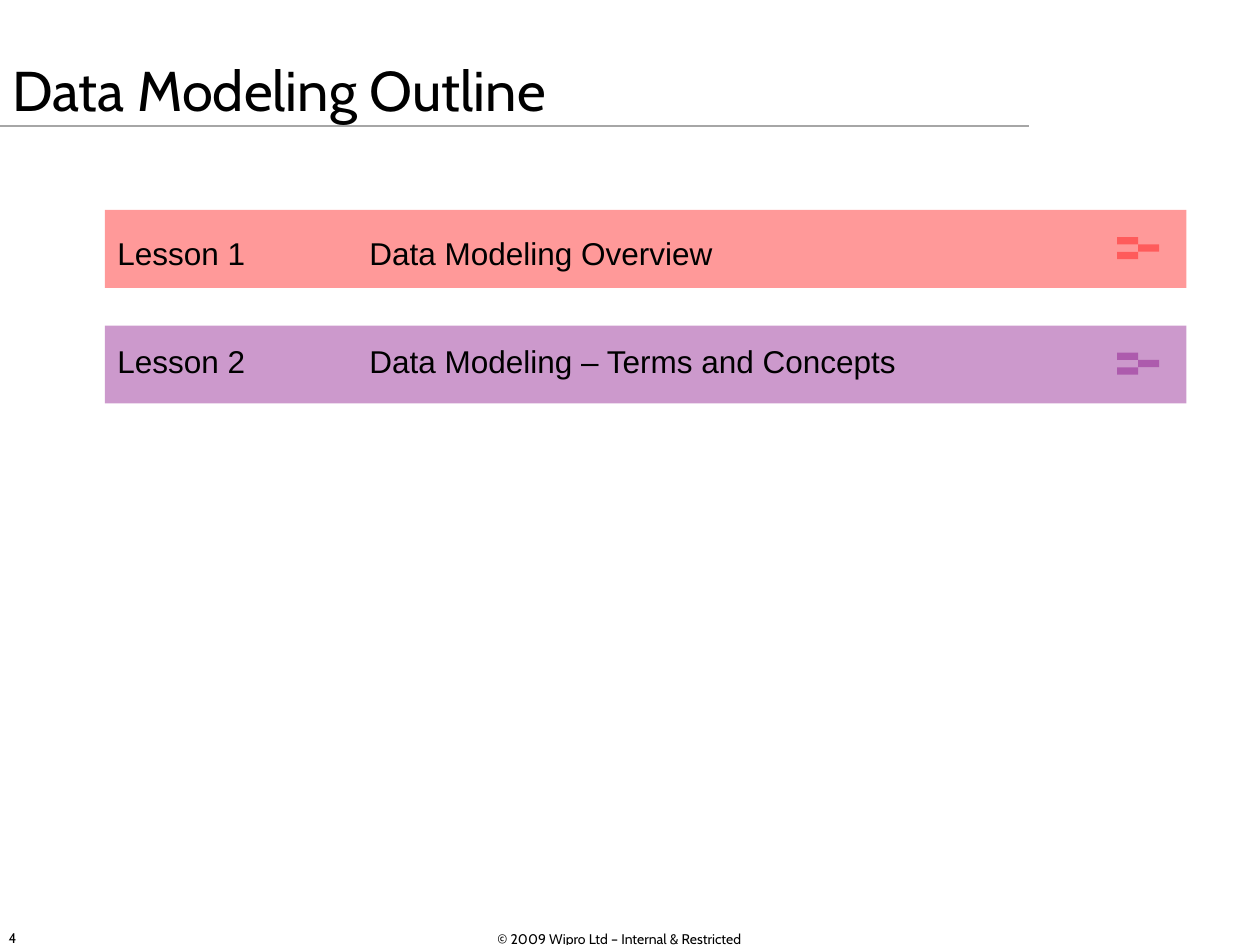
from lxml import etree
from pptx import Presentation
from pptx.dml.color import RGBColor
from pptx.enum.shapes import MSO_CONNECTOR, MSO_SHAPE
from pptx.enum.text import MSO_ANCHOR, PP_ALIGN
from pptx.oxml.ns import qn
from pptx.util import Pt

STRAIGHT, RECTANGLE = MSO_CONNECTOR.STRAIGHT, MSO_SHAPE.RECTANGLE
TOP, MIDDLE = MSO_ANCHOR.TOP, MSO_ANCHOR.MIDDLE
LEFT, CENTER = PP_ALIGN.LEFT, PP_ALIGN.CENTER
BLACK = RGBColor(0x00, 0x00, 0x00)
GRAY = RGBColor(0xA6, 0xA6, 0xA6)
RED = RGBColor(0xFF, 0x00, 0x00)
PURPLE = RGBColor(0x80, 0x00, 0x80)

TITLE_COLUMN = Pt(144)
BAR_LEFT, BAR_WIDTH, BAR_HEIGHT = 60, 618, 44.6
MARK_LEFT, MARK_WIDTH, MARK_HEIGHT = 638.4, 12, 4.2

prs = Presentation()
prs.slide_width, prs.slide_height = Pt(720), Pt(540)
slide = prs.slides.add_slide(prs.slide_layouts[6])


def write(box, text, font, size, anchor=MIDDLE, align=LEFT):
    frame = box.text_frame
    frame.word_wrap = True
    frame.vertical_anchor = anchor
    frame.text = text
    paragraph = frame.paragraphs[0]
    paragraph.alignment = align
    if "\t" in text:
        tabs = etree.SubElement(paragraph._p.get_or_add_pPr(), qn("a:tabLst"))
        etree.SubElement(tabs, qn("a:tab"), pos=str(TITLE_COLUMN), algn="l")
    run_font = paragraph.runs[0].font
    run_font.name, run_font.size = font, Pt(size)
    run_font.color.rgb = BLACK
    return paragraph


def add_tint(left, top, width, height, color):
    """Add a borderless rectangle filled at 40 % opacity."""
    tint = slide.shapes.add_shape(
        RECTANGLE, Pt(left), Pt(top), Pt(width), Pt(height))
    tint.shadow.inherit = False
    tint.fill.solid()
    tint.fill.fore_color.rgb = color
    rgb = tint.fill._xPr.find(qn("a:solidFill")).find(qn("a:srgbClr"))
    etree.SubElement(rgb, qn("a:alpha"), val="40000")
    tint.line.fill.background()
    return tint


title_rule = slide.shapes.add_connector(STRAIGHT, Pt(0), Pt(72), Pt(588), Pt(72))
title_rule.line.color.rgb = GRAY
title_rule.line.width = Pt(0.75)
etree.SubElement(title_rule._element.spPr, qn("a:effectLst"))

for left, top, width, height, text, size, align in (
    (198, 522, 312, 28.8, "© 2009 Wipro Ltd – Internal & Restricted", 8, CENTER),
    (-2.2, 521.3, 168, 28.8, "4", 8, LEFT),
    (0, 24, 595.4, 54, "Data Modeling Outline", 32, LEFT),
):
    box = slide.shapes.add_textbox(Pt(left), Pt(top), Pt(width), Pt(height))
    write(box, text, "Cabin", size, align=align)

lesson_bars = []
for bar_top, color in ((120, RED), (186, PURPLE)):
    lesson_bars.append(add_tint(BAR_LEFT, bar_top, BAR_WIDTH, BAR_HEIGHT, color))
    for step, column in enumerate((0, 1, 0)):
        add_tint(MARK_LEFT + column * MARK_WIDTH, bar_top + 15.5 + step * MARK_HEIGHT,
                 MARK_WIDTH, MARK_HEIGHT, color)

overview = write(lesson_bars[0], "Lesson 1\tData Modeling Overview", "Arial", 18)
overview.line_spacing = 1.2

terms_box = slide.shapes.add_textbox(Pt(BAR_LEFT), Pt(192), Pt(492), Pt(28.8))
write(terms_box, "Lesson 2\tData Modeling – Terms and Concepts", "Arial", 18, TOP)

prs.save("out.pptx")
